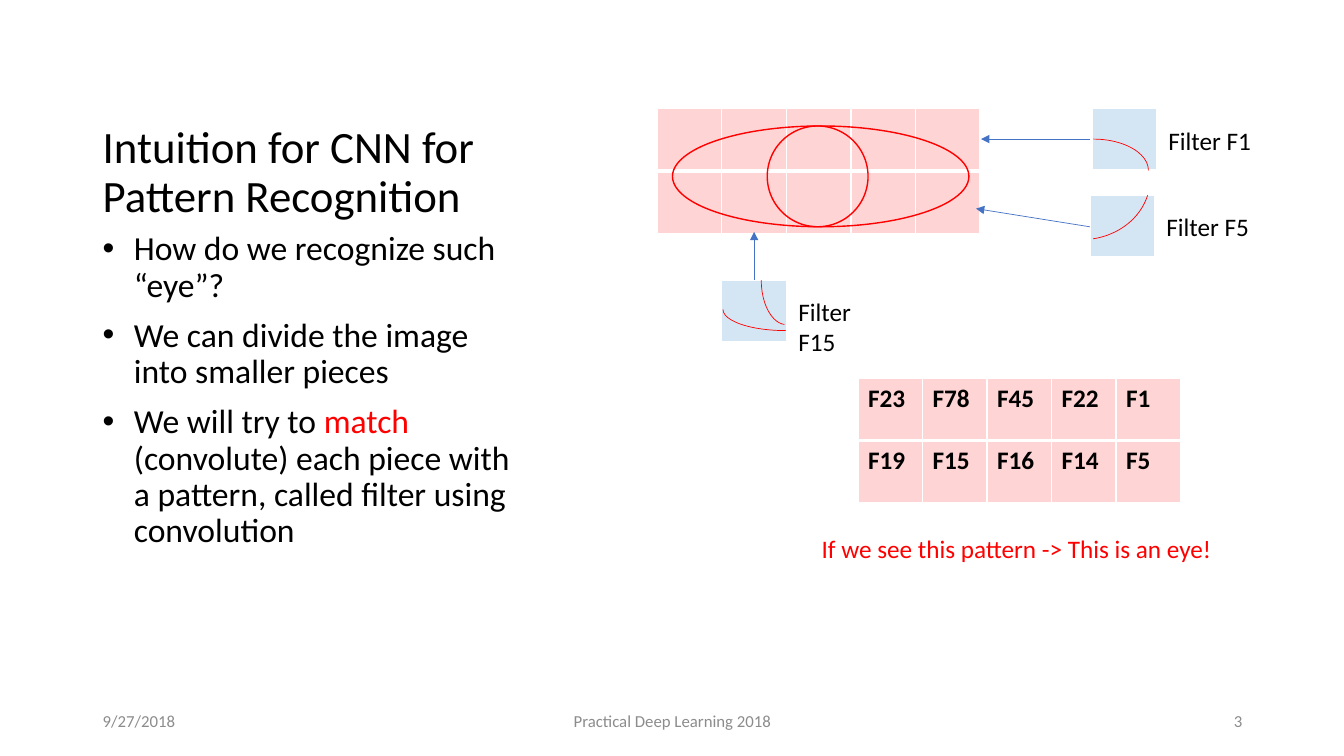
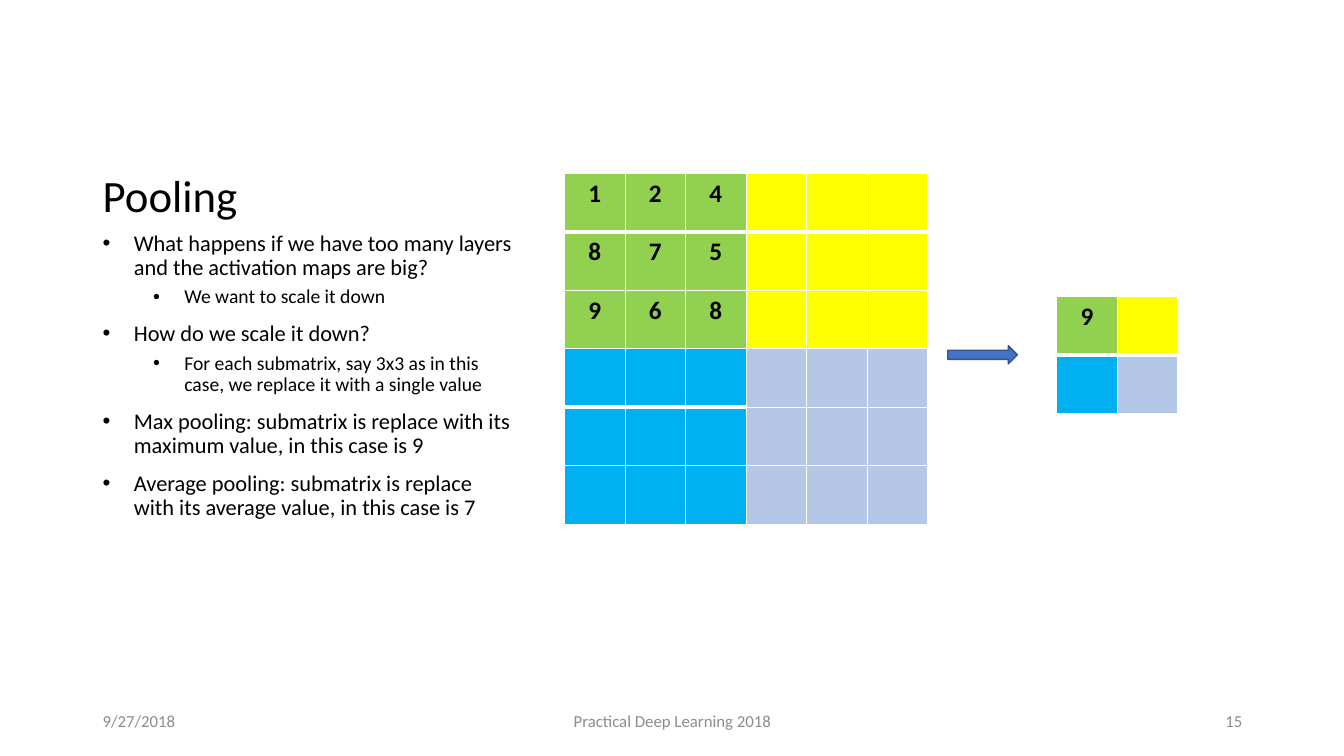
from dataclasses import dataclass
from typing import Optional

from lxml import etree
from pptx import Presentation
from pptx.dml.color import RGBColor
from pptx.enum.shapes import MSO_CONNECTOR as Connector, MSO_SHAPE as Preset
from pptx.enum.text import MSO_ANCHOR as Anchor, MSO_AUTO_SIZE as AutoSize, PP_ALIGN as Align
from pptx.oxml.ns import qn
from pptx.util import Inches, Pt

FONT = "Calibri"
COLORS = {
    "black": "000000",
    "white": "FFFFFF",
    "footer": "8C8C8C",
    "red": "FF0000",
    "filter": "0070C0",
    "accent": "4472C4",
    "accent_dark": "325491",
    "green": "92D050",
    "yellow": "FFFF00",
    "cyan": "00B0F0",
    "lavender": "B4C7E7",
}
TINT = 17
PIECE_WIDTH, PIECE_HEIGHT = 0.64, 0.62
POOL_WIDTH, POOL_HEIGHT = 0.6, 0.58
BLOCK = 3

Box = tuple[float, float, float, float]
Point = tuple[float, float]
Runs = list[tuple[str, str]]


@dataclass
class Bullet:
    runs: Runs
    size: float
    level: int = 0


@dataclass
class Arc:
    box: Box
    rotation: float = 0
    adjustments: Optional[tuple[float, float]] = None


@dataclass
class Filter:
    name: str
    corner: Point
    arrow_start: Point
    arrow_end: Point
    arcs: list[Arc]


@dataclass
class Grid:
    corner: Point
    cell_size: Point
    fills: list[list[str]]
    texts: Optional[list[list[str]]] = None
    tint: Optional[int] = None
    align: Align = Align.LEFT


FILTERS = [
    Filter("Filter F1", (10.83, 1.08), (10.81, 1.38), (9.73, 1.38),
           [Arc((10.3, 1.38, 1.09, 0.62))]),
    Filter("Filter F5", (10.81, 1.94), (10.81, 2.25), (9.68, 2.07),
           [Arc((9.98, 0.93, 1.34, 1.54), 108, (162, 195.63))]),
    Filter("Filter F15", (7.16, 2.78), (7.48, 2.78), (7.48, 2.3),
           [Arc((7.55, 2.34, 0.5, 0.88), 180, (163.58, 0)),
            Arc((7.17, 2.86, 1.25, 0.42), 180)]),
]

INTUITION_BULLETS = [
    Bullet([("How do we recognize such “eye”?", "black")], 24),
    Bullet([("We can divide the image into smaller pieces", "black")], 24),
    Bullet([
        ("We will try to ", "black"),
        ("match", "red"),
        (" (convolute) each piece with a pattern, called filter using convolution", "black"),
    ], 24),
]

POOLING_BULLETS = [
    Bullet([("What happens if we have too many layers and the activation maps are big?", "black")], 16),
    Bullet([("We want to scale it down", "black")], 14, 1),
    Bullet([("How do we scale it down?", "black")], 16),
    Bullet([("For each submatrix, say 3x3 as in this case, we replace it with a single value", "black")], 14, 1),
    Bullet([("Max pooling: submatrix is replace with its maximum value, in this case is 9", "black")], 16),
    Bullet([("Average pooling: submatrix is replace with its average value, in this case is 7", "black")], 16),
]


def rgb(name: str) -> RGBColor:
    return RGBColor.from_string(COLORS[name])


def inches(values) -> list:
    return [Inches(value) for value in values]


def write_runs(paragraph, runs: Runs, *, size: float, bold: bool = False,
               align: Align = Align.LEFT, line_spacing: Optional[float] = None) -> None:
    paragraph.alignment = align
    if line_spacing:
        paragraph.line_spacing = line_spacing
    for text, color in runs:
        run = paragraph.add_run()
        run.text = text
        run.font.name = FONT
        run.font.size = Pt(size)
        run.font.bold = bold
        run.font.color.rgb = rgb(color)


def add_text(slide, text: str, box: Box, *, size: float, color: str = "black",
             anchor: Anchor = Anchor.TOP, wrap: bool = True, align: Align = Align.LEFT,
             line_spacing: Optional[float] = None) -> None:
    frame = slide.shapes.add_textbox(*inches(box)).text_frame
    frame.word_wrap = wrap
    frame.vertical_anchor = anchor
    if not wrap:
        frame.auto_size = AutoSize.SHAPE_TO_FIT_TEXT
    write_runs(frame.paragraphs[0], [(text, color)], size=size, align=align,
               line_spacing=line_spacing)


def add_bullets(slide, bullets: list[Bullet]) -> None:
    frame = slide.shapes.add_textbox(*inches((0.92, 2.25, 4.3, 4.17))).text_frame
    frame.word_wrap = True
    for index, bullet in enumerate(bullets):
        paragraph = frame.add_paragraph() if index else frame.paragraphs[0]
        properties = paragraph._p.get_or_add_pPr()
        properties.set("marL", str(Inches(0.31 + 0.5 * bullet.level)))
        properties.set("indent", str(Inches(-0.31)))
        etree.SubElement(properties, qn("a:buFont"), typeface="Arial")
        etree.SubElement(properties, qn("a:buChar"), char="•")
        paragraph.level = bullet.level
        if index:
            paragraph.space_before = Pt(5 if bullet.level else 10)
        write_runs(paragraph, bullet.runs, size=bullet.size, line_spacing=0.9)


def set_borders(cell, bottom_width: float) -> None:
    properties = cell._tc.get_or_add_tcPr()
    for side, width in (("lnL", 1), ("lnR", 1), ("lnT", 1), ("lnB", bottom_width)):
        border = etree.SubElement(properties, qn(f"a:{side}"), w=str(Pt(width)))
        fill = etree.SubElement(border, qn("a:solidFill"))
        etree.SubElement(fill, qn("a:srgbClr"), val=COLORS["white"])


def fill_cell(cell, color: str, tint: Optional[int]) -> None:
    """Fill a cell, with tint as its opacity in percent."""
    cell.fill.solid()
    cell.fill.fore_color.rgb = rgb(color)
    if tint is not None:
        value = cell._tc.tcPr.find(f"{qn('a:solidFill')}/{qn('a:srgbClr')}")
        etree.SubElement(value, qn("a:alpha"), val=str(tint * 1000))


def add_grid(slide, grid: Grid) -> None:
    row_count, column_count = len(grid.fills), len(grid.fills[0])
    width, height = grid.cell_size
    box = (*grid.corner, width * column_count, height * row_count)
    table = slide.shapes.add_table(row_count, column_count, *inches(box)).table
    table.first_row = table.horz_banding = False
    for column in table.columns:
        column.width = Inches(width)
    for row_index, row in enumerate(table.rows):
        row.height = Inches(height)
        for column_index, cell in enumerate(row.cells):
            set_borders(cell, 1 if row_index else 3)
            fill_cell(cell, grid.fills[row_index][column_index], grid.tint)
            text = grid.texts[row_index][column_index] if grid.texts else ""
            if text:
                write_runs(cell.text_frame.paragraphs[0], [(text, "black")],
                           size=18, bold=True, align=grid.align)


def uniform(color: str, rows: int, columns: int) -> list[list[str]]:
    return [[color] * columns for _ in range(rows)]


def add_outline(shapes, preset: Preset, box: Box, width: float):
    shape = shapes.add_shape(preset, *inches(box))
    shape.shadow.inherit = False
    shape.fill.background()
    shape.line.color.rgb = rgb("red")
    shape.line.width = Pt(width)
    return shape


def add_arc(slide, arc: Arc) -> None:
    shape = add_outline(slide.shapes, Preset.ARC, arc.box, 0.5)
    shape.rotation = arc.rotation
    for index, value in enumerate(arc.adjustments or ()):
        shape.adjustments[index] = value


def add_arrow(slide, start: Point, end: Point) -> None:
    arrow = slide.shapes.add_connector(Connector.STRAIGHT, *inches(start + end))
    arrow.line.color.rgb = rgb("accent")
    arrow.line.width = Pt(0.5)
    properties = arrow.element.spPr
    etree.SubElement(properties.find(qn("a:ln")), qn("a:tailEnd"), type="triangle")
    etree.SubElement(properties, qn("a:effectLst"))


def add_filter(slide, item: Filter) -> None:
    left, top = item.corner
    add_grid(slide, Grid(item.corner, (PIECE_WIDTH, PIECE_HEIGHT), [["filter"]], tint=TINT))
    add_text(slide, item.name, (left + 0.66, top + 0.11, 1.1, 0.4), size=18, wrap=False)
    for arc in item.arcs:
        add_arc(slide, arc)
    add_arrow(slide, item.arrow_start, item.arrow_end)


def add_base_slide(presentation, title: str, bullets: list[Bullet], number: int):
    slide = presentation.slides.add_slide(presentation.slide_layouts[6])
    add_text(slide, title, (0.92, 0.5, 4.3, 1.75), size=32, anchor=Anchor.BOTTOM,
             line_spacing=0.9)
    add_bullets(slide, bullets)
    footers = (
        ("9/27/2018", 0.92, 3, Align.LEFT),
        ("Practical Deep Learning 2018", 4.42, 4.5, Align.CENTER),
        (str(number), 9.42, 3, Align.RIGHT),
    )
    for text, left, width, align in footers:
        add_text(slide, text, (left, 6.95, width, 0.4), size=12, color="footer",
                 anchor=Anchor.MIDDLE, align=align)
    return slide


def build_intuition(presentation) -> None:
    slide = add_base_slide(presentation, "Intuition for CNN for Pattern Recognition",
                           INTUITION_BULLETS, 3)
    piece_size = (PIECE_WIDTH, PIECE_HEIGHT)
    pieces = uniform("red", 2, 5)
    add_grid(slide, Grid((6.52, 1.08), piece_size, pieces, tint=TINT))
    eye = slide.shapes.add_group_shape()
    for box in ((6.67, 1.25, 2.94, 1), (7.61, 1.25, 1, 1)):
        add_outline(eye.shapes, Preset.OVAL, box, 1)
    for item in FILTERS:
        add_filter(slide, item)
    matches = [["F23", "F78", "F45", "F22", "F1"], ["F19", "F15", "F16", "F14", "F5"]]
    add_grid(slide, Grid((8.51, 3.75), piece_size, pieces, matches, TINT))
    add_text(slide, "If we see this pattern -> This is an eye!", (8.05, 5.24, 4.12, 0.4),
             size=18, color="red", wrap=False)


def build_pooling(presentation) -> None:
    slide = add_base_slide(presentation, "Pooling", POOLING_BULLETS, 15)
    left, top = 5.6, 1.72
    cell_size = (POOL_WIDTH, POOL_HEIGHT)
    right, middle = left + BLOCK * POOL_WIDTH, top + BLOCK * POOL_HEIGHT
    values = [["1", "2", "4"], ["8", "7", "5"], ["9", "6", "8"]]
    add_grid(slide, Grid((left, top), cell_size, uniform("lavender", 2 * BLOCK, 2 * BLOCK)))
    for corner, color, texts in (
        ((left, top), "green", values),
        ((right, top), "yellow", None),
        ((left, middle), "cyan", None),
    ):
        add_grid(slide, Grid(corner, cell_size, uniform(color, BLOCK, BLOCK), texts,
                             align=Align.CENTER))
    arrow = slide.shapes.add_shape(Preset.RIGHT_ARROW, *inches((9.4, 3.43, 0.69, 0.18)))
    arrow.shadow.inherit = False
    arrow.fill.solid()
    arrow.fill.fore_color.rgb = rgb("accent")
    arrow.line.color.rgb = rgb("accent_dark")
    arrow.line.width = Pt(1)
    add_grid(slide, Grid((10.48, 2.94), cell_size, [["green", "yellow"], ["cyan", "lavender"]],
                         [["9", ""], ["", ""]], align=Align.CENTER))


def main() -> None:
    presentation = Presentation()
    presentation.slide_width, presentation.slide_height = inches((13.33, 7.5))
    build_intuition(presentation)
    build_pooling(presentation)
    presentation.save("out.pptx")


if __name__ == "__main__":
    main()
